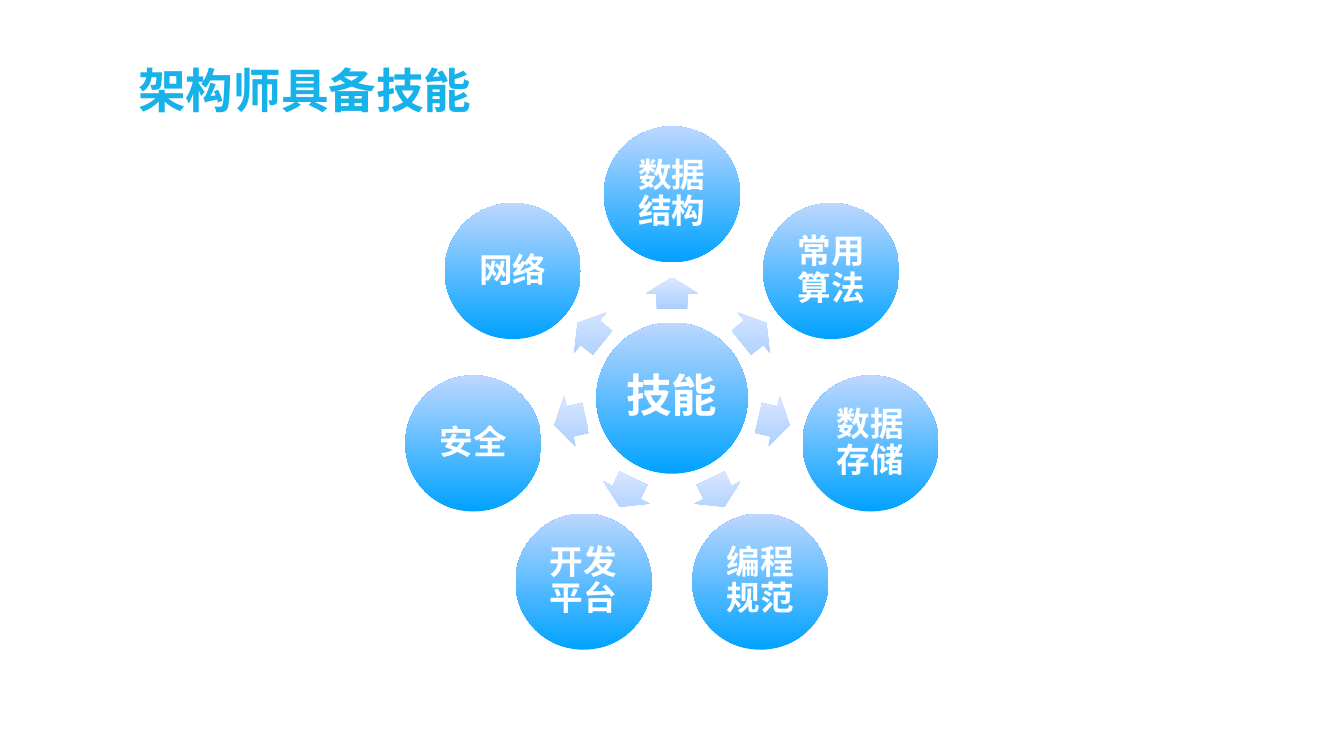
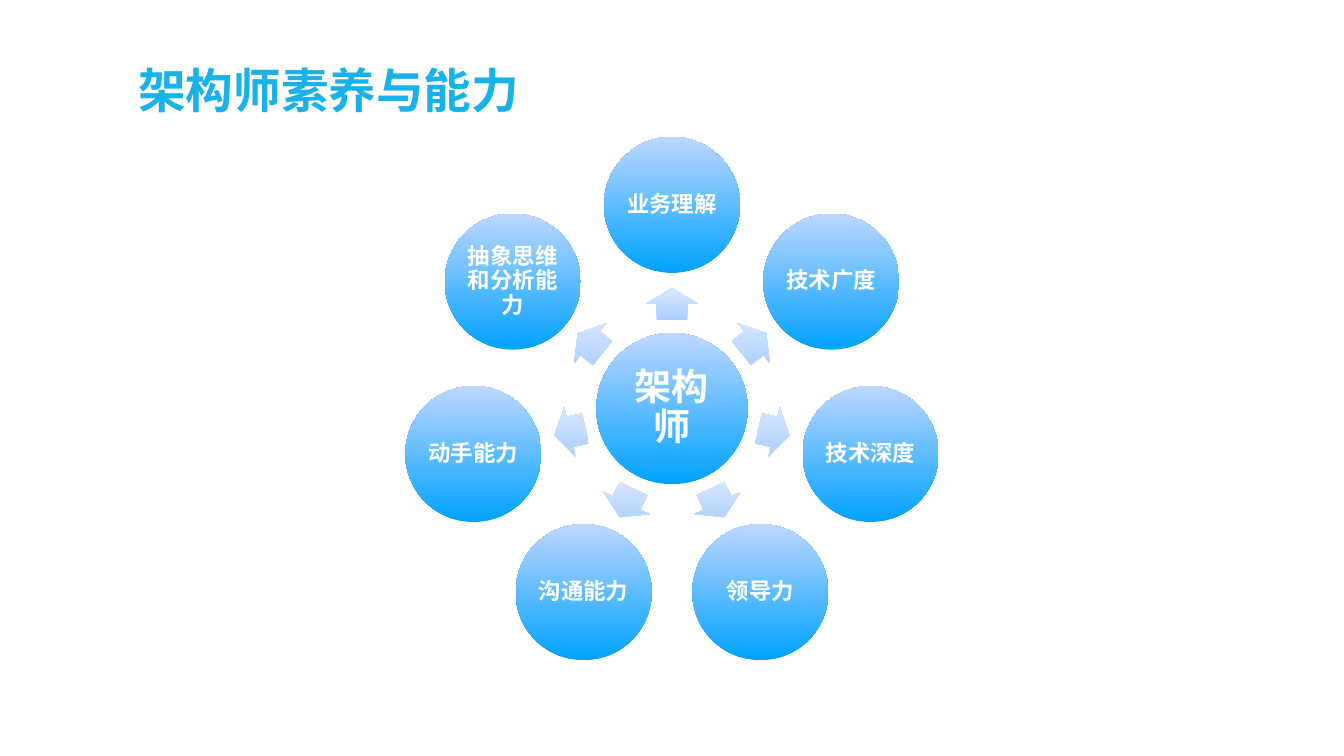
"""Builds two slides, each a ring of seven gradient circles around a centre."""
import math

import lxml.etree
import pptx
import pptx.dml.color
import pptx.enum.shapes
import pptx.enum.text
import pptx.oxml.ns
import pptx.util

Pt = pptx.util.Pt
qn = pptx.oxml.ns.qn
rgb = pptx.dml.color.RGBColor.from_string
OVAL = pptx.enum.shapes.MSO_SHAPE.OVAL
ARROW = pptx.enum.shapes.MSO_SHAPE.RIGHT_ARROW
ALIGN = pptx.enum.text.PP_ALIGN

CIRCLE_COLOURS = ("00A2FF", "BDD7FF")
ARROW_COLOURS = ("ABCEFF", "DAE8FF")
RING_X = 960
RING_RADIUS, ARROW_RADIUS = 291, 149.6
CENTRE_SIZE, SKILL_SIZE = 216, 194.4
ARROW_LENGTH, ARROW_WIDTH = 45.4, 73.4


def write(shape, text, size, colour="FFFFFF", font="Noto Sans CJK SC",
          align=ALIGN.CENTER, inset=5, line_spacing=None, after_percent=None):
    """Put one bold, vertically centred paragraph into a shape."""
    frame = shape.text_frame
    frame.word_wrap = True
    frame.auto_size = pptx.enum.text.MSO_AUTO_SIZE.NONE
    frame.vertical_anchor = pptx.enum.text.MSO_ANCHOR.MIDDLE
    frame.margin_left = frame.margin_right = Pt(inset)
    frame.margin_top = frame.margin_bottom = Pt(inset)
    paragraph = frame.paragraphs[0]
    paragraph.alignment = align
    if line_spacing:
        paragraph.line_spacing = line_spacing
    if after_percent:
        after = lxml.etree.SubElement(paragraph._p.get_or_add_pPr(), qn("a:spcAft"))
        lxml.etree.SubElement(after, qn("a:spcPct")).set("val", str(after_percent * 1000))
    run = paragraph.add_run()
    run.text = text
    run.font.size = Pt(size)
    run.font.bold = True
    run.font.color.rgb = rgb(colour)
    run.font.name = font
    east_asian = lxml.etree.SubElement(run._r.get_or_add_rPr(), qn("a:ea"))
    east_asian.set("typeface", font)


def add_gradient(slide, kind, x, y, width, height, colours):
    """Add a borderless shape centred on x, y with an upward gradient."""
    shape = slide.shapes.add_shape(
        kind, Pt(x - width / 2), Pt(y - height / 2), Pt(width), Pt(height))
    shape.shadow.inherit = False
    shape.line.fill.background()
    shape.fill.gradient()
    shape.fill.gradient_angle = 90
    for stop, colour in zip(shape.fill.gradient_stops, colours):
        stop.color.rgb = rgb(colour)
    shape.element.spPr.find(qn("a:gradFill")).set("rotWithShape", "0")
    return shape


rings = [
    dict(title="架构师具备技能", centre="技能", centre_pt=65, centre_inset=6.5,
         ring_y=568.8, skill_pt=48, skill_inset=5,
         skills=["数据结构", "常用算法", "数据存储", "编程规范", "开发平台", "安全", "网络"]),
    dict(title="架构师素养与能力", centre="架构师", centre_pt=53, centre_inset=5,
         ring_y=583.7, skill_pt=32, skill_inset=3,
         skills=["业务理解", "技术广度", "技术深度", "领导力", "沟通能力", "动手能力",
                 "抽象思维和分析能力"]),
]

deck = pptx.Presentation()
deck.slide_width, deck.slide_height = Pt(1920), Pt(1080)

for ring in rings:
    slide = deck.slides.add_slide(deck.slide_layouts[5])
    title = slide.shapes.title
    title.left, title.top, title.width, title.height = Pt(193.7), Pt(77), Pt(1532), Pt(103)
    write(title, ring["title"], 68, colour="17B2E9", font="Arial", align=ALIGN.LEFT, inset=4)

    centre = add_gradient(slide, OVAL, RING_X, ring["ring_y"],
                          CENTRE_SIZE, CENTRE_SIZE, CIRCLE_COLOURS)
    write(centre, ring["centre"], ring["centre_pt"], inset=ring["centre_inset"],
          line_spacing=0.9, after_percent=35)

    for index, skill in enumerate(ring["skills"]):
        degrees = 360 * index / len(ring["skills"]) - 90
        across, down = math.cos(math.radians(degrees)), math.sin(math.radians(degrees))
        arrow = add_gradient(slide, ARROW, RING_X + ARROW_RADIUS * across,
                             ring["ring_y"] + ARROW_RADIUS * down,
                             ARROW_LENGTH, ARROW_WIDTH, ARROW_COLOURS)
        arrow.adjustments[0], arrow.adjustments[1] = 0.6, 0.5
        arrow.rotation = degrees % 360
        circle = add_gradient(slide, OVAL, RING_X + RING_RADIUS * across,
                              ring["ring_y"] + RING_RADIUS * down,
                              SKILL_SIZE, SKILL_SIZE, CIRCLE_COLOURS)
        write(circle, skill, ring["skill_pt"], inset=ring["skill_inset"],
              line_spacing=0.9, after_percent=35)

deck.save("out.pptx")
